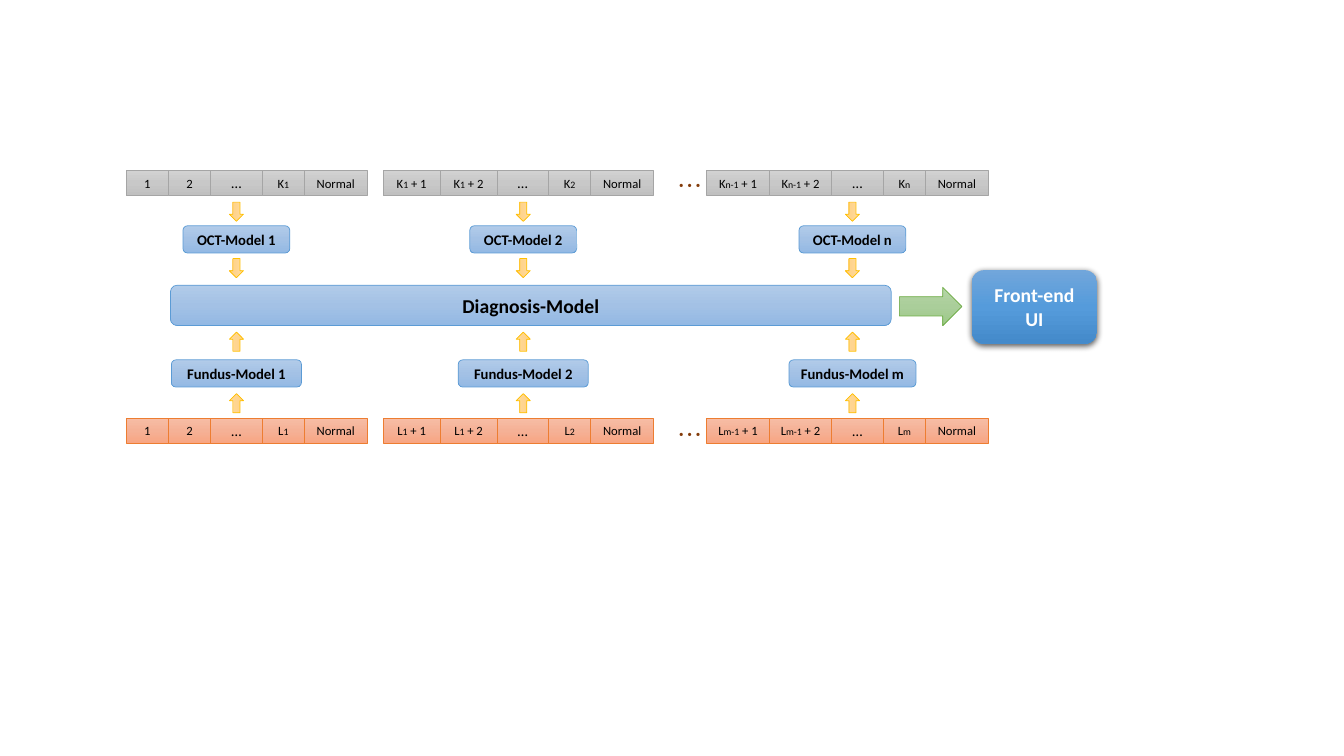
from dataclasses import dataclass

import lxml.etree
import pptx
import pptx.dml.color
import pptx.enum.shapes
import pptx.enum.text
import pptx.oxml
import pptx.oxml.ns
import pptx.util

Inches = pptx.util.Inches
RGBColor = pptx.dml.color.RGBColor
MSO_SHAPE = pptx.enum.shapes.MSO_SHAPE
qn = pptx.oxml.ns.qn


@dataclass(frozen=True)
class Theme:
    # Three gradient stops from top to bottom, then the outline
    grey: tuple = ("D2D2D2", "C8C8C8", "C0C0C0", "A5A5A5")
    orange: tuple = ("F7BDA5", "F5B196", "F8A582", "ED7D31")
    blue: tuple = ("B1CBE9", "A3C1E5", "93B9E4", "5B9BD5")
    yellow: tuple = ("FFDB9E", "FFD590", "FFD07C", "FFC000")
    green: tuple = ("B5D5A7", "AACE9A", "9CC987", "70AD47")
    deep_blue: tuple = ("71A6DB", "559BDB", "448ACA", None)
    text: str = "000000"
    light_text: str = "FFFFFF"
    dots: str = "843C0B"
    font: str = "Calibri"
    dots_font: str = "Noto Sans CJK SC"
    subscript_size: float = 7
    label_size: float = 9
    model_size: float = 10.5
    heading_size: float = 14
    dots_size: float = 18


THEME = Theme()
MODEL_HEIGHT, CELL_HEIGHT = 0.27, 0.25

deck = pptx.Presentation()
deck.slide_width, deck.slide_height = Inches(13.33), Inches(7.5)
slide = deck.slides.add_slide(deck.slide_layouts[6])


def add_block(kind, left, top, width, height, colours):
    block = slide.shapes.add_shape(
        kind, Inches(left), Inches(top), Inches(width), Inches(height))
    block.shadow.inherit = False
    block.fill.gradient()
    gradient = block.fill._xPr.find(qn("a:gradFill"))
    stops = gradient.find(qn("a:gsLst"))
    for stop in list(stops):
        stops.remove(stop)
    for position, colour in zip((0, 50000, 100000), colours):
        stop = lxml.etree.SubElement(stops, qn("a:gs"), pos=str(position))
        lxml.etree.SubElement(stop, qn("a:srgbClr"), val=colour)
    direction = gradient.find(qn("a:lin"))
    direction.set("ang", "5400000")
    direction.set("scaled", "0")
    if colours[3]:
        block.line.color.rgb = RGBColor.from_string(colours[3])
        block.line.width = pptx.util.Pt(0.5)
    else:
        block.line.fill.background()
    return block


def write_label(block, label, size, bold=False, colour=THEME.text, margin=0):
    """Centre a label in a block; parts between underscores are set small."""
    frame = block.text_frame
    frame.word_wrap = True
    frame.margin_left = frame.margin_right = Inches(margin)
    frame.margin_top = frame.margin_bottom = 0
    frame.vertical_anchor = pptx.enum.text.MSO_ANCHOR.MIDDLE
    paragraph = frame.paragraphs[0]
    paragraph.alignment = pptx.enum.text.PP_ALIGN.CENTER
    paragraph.font.name = THEME.font
    paragraph.font.size = pptx.util.Pt(size)
    paragraph.font.bold = bold
    paragraph.font.color.rgb = RGBColor.from_string(colour)
    for index, part in enumerate(label.split("_")):
        run = paragraph.add_run()
        run.text = part
        if index % 2:
            run.font.size = pptx.util.Pt(THEME.subscript_size)


# Each group: left edge, width of its first two cells, centre of its model
groups = [(1.25, 0.42, 2.345), (3.8, 0.565, 5.19), (7.01, 0.62, 8.455)]

# Each branch: model name, class letter, last index, colours, cell top,
# model top, model widths, arrow centres, arrow rotation, dots top
branches = [
    ("OCT", "K", "n", THEME.grey, 1.69, 2.24, (1.06, 1.06, 1.06),
     (2.1, 2.66), 90, 1.64),
    ("Fundus", "L", "m", THEME.orange, 4.15, 3.57, (1.29, 1.29, 1.26),
     (4.0, 3.39), 270, 4.11),
]

for (model, letter, last, colours, cell_top, model_top, model_widths,
     arrow_centres, rotation, dots_top) in branches:
    starts = [("1", "2")] + [
        (f"{letter}_{previous}_ + 1", f"{letter}_{previous}_ + 2")
        for previous in ("1", f"{last}-1")]
    numbers = ("1", "2", last)

    for (left, start_width, centre), start, number, model_width in zip(
            groups, starts, numbers, model_widths):
        classes = [*start, "…", f"{letter}_{number}_", "Normal"]
        widths = [start_width, start_width, 0.51, 0.42, 0.62]
        for name, width in zip(classes, widths):
            cell = add_block(MSO_SHAPE.RECTANGLE, left, cell_top, width,
                             CELL_HEIGHT, colours)
            write_label(cell, name,
                        THEME.model_size if name == "…" else THEME.label_size)
            left += width

        model_box = add_block(MSO_SHAPE.ROUNDED_RECTANGLE,
                              centre - model_width / 2, model_top,
                              model_width, MODEL_HEIGHT, THEME.blue)
        write_label(model_box, f"{model}-Model {number}", THEME.model_size, True)

        for arrow_centre in arrow_centres:
            arrow = add_block(MSO_SHAPE.RIGHT_ARROW, centre - 0.095,
                              arrow_centre - 0.07, 0.19, 0.14, THEME.yellow)
            arrow.rotation = rotation

    more_groups = slide.shapes.add_textbox(
        Inches(6.62), Inches(dots_top), Inches(0.55), Inches(0.4))
    more_groups.text_frame.word_wrap = True
    dots = more_groups.text_frame.paragraphs[0].add_run()
    dots.text = "…"
    dots.font.name = THEME.dots_font
    dots.font.size = pptx.util.Pt(THEME.dots_size)
    dots.font.color.rgb = RGBColor.from_string(THEME.dots)
    lxml.etree.SubElement(dots.font._element, qn("a:ea"),
                          typeface=THEME.dots_font)

diagnosis = add_block(MSO_SHAPE.ROUNDED_RECTANGLE, 1.69, 2.83, 7.15, 0.4,
                      THEME.blue)
write_label(diagnosis, "Diagnosis-Model", THEME.heading_size, True)

add_block(MSO_SHAPE.RIGHT_ARROW, 8.92, 2.85, 0.62, 0.38, THEME.green)

front_end = add_block(MSO_SHAPE.ROUNDED_RECTANGLE, 9.64, 2.68, 1.24, 0.73,
                      THEME.deep_blue)
write_label(front_end, "Front-end UI", THEME.heading_size, True,
            THEME.light_text, margin=0.1)
effects = front_end._element.spPr.find(qn("a:effectLst"))
shadow = lxml.etree.SubElement(
    effects, qn("a:outerShdw"), blurRad=str(pptx.util.Pt(4.5)),
    dist=str(pptx.util.Pt(1.5)), dir="5400000", algn="ctr", rotWithShape="0")
shadow_colour = lxml.etree.SubElement(shadow, qn("a:srgbClr"), val="000000")
lxml.etree.SubElement(shadow_colour, qn("a:alpha"), val="63000")

deck.save("out.pptx")
